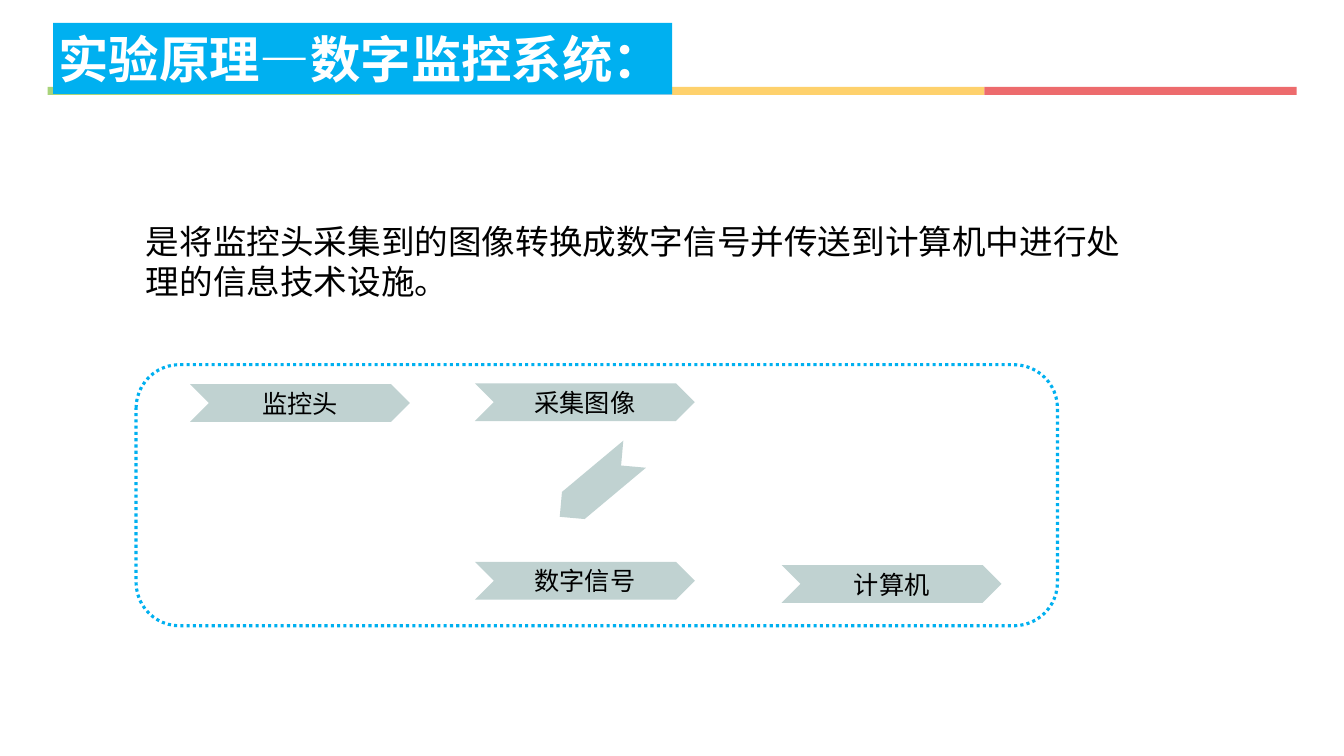
from dataclasses import dataclass

from pptx import Presentation
from pptx.dml.color import RGBColor
from pptx.enum.dml import MSO_LINE
from pptx.enum.shapes import MSO_SHAPE
from pptx.enum.text import MSO_ANCHOR, PP_ALIGN
from pptx.oxml.ns import qn
from pptx.util import Cm, Pt


@dataclass(frozen=True)
class Theme:
    """Colours, font and type sizes of the slide."""

    font: str = "Noto Sans CJK SC"
    stripes: tuple = ("A8D37A", "87C7E3", "FED16C", "ED6B6D")
    accent: str = "00B0F0"
    step: str = "C0D2D1"
    text: str = "000000"
    title_text: str = "FFFFFF"
    title_size: int = 36
    body_size: int = 24
    step_size: int = 18


THEME = Theme()


def add_block(slide, kind, left, top, width, height, fill=None):
    """Add a flat preset shape, measured in centimetres, without an outline."""
    shape = slide.shapes.add_shape(kind, Cm(left), Cm(top), Cm(width), Cm(height))
    shape.shadow.inherit = False
    shape.line.fill.background()
    if fill:
        shape.fill.solid()
        shape.fill.fore_color.rgb = RGBColor.from_string(fill)
    else:
        shape.fill.background()
    return shape


def write_text(shape, text, size, color, align=PP_ALIGN.LEFT, bold=False):
    """Write one run into the shape in both Latin and East Asian fonts."""
    paragraph = shape.text_frame.paragraphs[0]
    paragraph.alignment = align
    run = paragraph.add_run()
    run.text = text
    run.font.name = THEME.font
    run.font.size = Pt(size)
    run.font.bold = bold
    run.font.color.rgb = RGBColor.from_string(color)
    east_asian = run._r.get_or_add_rPr().makeelement(qn("a:ea"), {"typeface": THEME.font})
    run._r.rPr.find(qn("a:latin")).addnext(east_asian)
    return paragraph


def add_stripes(slide):
    """Add the row of coloured stripes under the title."""
    width = 7.87
    for index, color in enumerate(THEME.stripes):
        add_block(slide, MSO_SHAPE.RECTANGLE, 1.2 + index * width, 2.19, width, 0.2, color)


def add_title(slide, text):
    """Add the title banner."""
    banner = add_block(slide, MSO_SHAPE.RECTANGLE, 1.34, 0.58, 15.6, 1.79, THEME.accent)
    frame = banner.text_frame
    frame.word_wrap = False
    frame.vertical_anchor = MSO_ANCHOR.MIDDLE
    frame.margin_left = frame.margin_right = Cm(0.13)
    frame.margin_top = frame.margin_bottom = Cm(0.13)
    write_text(banner, text, THEME.title_size, THEME.title_text, bold=True)


def add_definition(slide, text):
    """Add the wrapped definition under the title."""
    box = slide.shapes.add_textbox(Cm(3.43), Cm(5.36), Cm(25.65), Cm(2.31))
    box.text_frame.word_wrap = True
    box.text_frame.margin_top = Cm(0.2)
    paragraph = write_text(box, text, THEME.body_size, THEME.text)
    paragraph.line_spacing = Pt(28.8)


def add_step(slide, text, left, top):
    """Add one labelled chevron of the flow."""
    chevron = add_block(slide, MSO_SHAPE.CHEVRON, left, top, 5.54, 0.95, THEME.step)
    chevron.text_frame.vertical_anchor = MSO_ANCHOR.MIDDLE
    chevron.text_frame.margin_top = chevron.text_frame.margin_bottom = 0
    write_text(chevron, text, THEME.step_size, THEME.text, PP_ALIGN.CENTER)


def add_turn(slide):
    """Add the slanted chevron that leads to the lower row."""
    turn = add_block(slide, MSO_SHAPE.CHEVRON, 13.82, 11.79, 2.46, 0.89, THEME.step)
    turn.rotation = 140.1


def add_frame(slide):
    """Add the dotted frame around the flow."""
    frame = add_block(slide, MSO_SHAPE.FLOWCHART_ALTERNATE_PROCESS, 3.43, 9.19, 23.22, 6.58)
    frame.line.color.rgb = RGBColor.from_string(THEME.accent)
    frame.line.width = Pt(2.25)
    frame.line.dash_style = MSO_LINE.ROUND_DOT
    frame.line._ln.find(qn("a:prstDash")).set("val", "sysDot")


def main():
    """Build the slide and save it."""
    presentation = Presentation()
    presentation.slide_width = Cm(33.87)
    presentation.slide_height = Cm(19.05)
    slide = presentation.slides.add_slide(presentation.slide_layouts[6])
    add_stripes(slide)
    add_turn(slide)
    steps = (
        ("监控头", 4.79, 9.68),
        ("采集图像", 11.97, 9.66),
        ("数字信号", 11.97, 14.16),
        ("计算机", 19.7, 14.24),
    )
    for text, left, top in steps:
        add_step(slide, text, left, top)
    add_title(slide, "实验原理—数字监控系统：")
    add_frame(slide)
    add_definition(slide, "是将监控头采集到的图像转换成数字信号并传送到计算机中进行处理的信息技术设施。")
    presentation.save("out.pptx")


if __name__ == "__main__":
    main()
